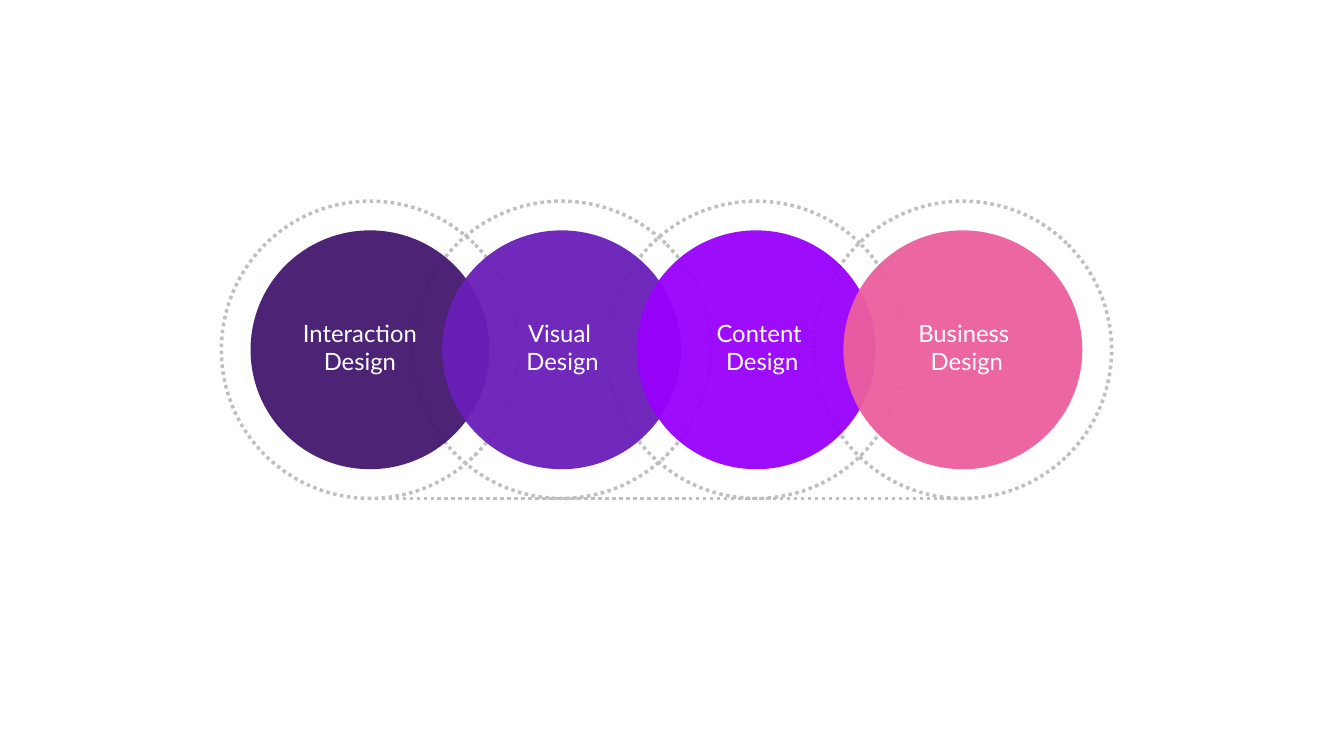
"""Build a slide of four overlapping design disciplines with dotted rings."""
from dataclasses import dataclass

from lxml.etree import SubElement
from pptx import Presentation
from pptx.dml.color import RGBColor
from pptx.enum.dml import MSO_LINE
from pptx.enum.shapes import MSO_CONNECTOR, MSO_SHAPE
from pptx.enum.text import MSO_ANCHOR, PP_ALIGN
from pptx.oxml.ns import qn
from pptx.util import Inches, Pt

# label, colour, circle centre, label centre, label width
DISCIPLINES = [
    ("Interaction Design", "43186E", 3.67, 3.57, 1.54),
    ("Visual \vDesign", "6A1EB9", 5.57, 5.58, 1.31),
    ("Content \vDesign", "9800FB", 7.5, 7.56, 2.53),
    ("Business \vDesign", "EC5F9E", 9.55, 9.59, 2.53),
]
MIDDLE = 3.47
RING, DISC = 2.95, 2.37
LABEL_TOP, LABEL_HEIGHT, INSET = 2.99, 0.91, 0.04


@dataclass(frozen=True)
class Theme:
    font: str = "Lato"
    size: float = 17
    leading: float = 20
    text: str = "FFFFFF"
    dots: str = "BFBFBF"
    dot_width: float = 2.5
    opacity: int = 95


THEME = Theme()


def dot(line):
    line.color.rgb = RGBColor.from_string(THEME.dots)
    line.width = Pt(THEME.dot_width)
    line.dash_style = MSO_LINE.ROUND_DOT


def add_circle(s, center, size, rotation):
    sp = s.shapes.add_shape(
        MSO_SHAPE.ROUNDED_RECTANGLE, Inches(center - size / 2),
        Inches(MIDDLE - size / 2), Inches(size), Inches(size))
    sp.adjustments[0] = 0.5
    sp.rotation = rotation
    sp.shadow.inherit = False
    return sp


def add_ring(s, center):
    sp = add_circle(s, center, RING, 135)
    sp.fill.background()
    dot(sp.line)


def add_disc(s, center, color):
    sp = add_circle(s, center, DISC, 315)
    sp.fill.solid()
    sp.fill.fore_color.rgb = RGBColor.from_string(color)
    sp.line.fill.background()
    clr = sp.element.spPr.find(qn("a:solidFill")).find(qn("a:srgbClr"))
    SubElement(clr, qn("a:alpha")).set("val", str(THEME.opacity * 1000))


def add_label(s, text, center, width):
    tf = s.shapes.add_textbox(
        Inches(center - width / 2), Inches(LABEL_TOP),
        Inches(width), Inches(LABEL_HEIGHT)).text_frame
    tf.word_wrap = True
    tf.vertical_anchor = MSO_ANCHOR.MIDDLE
    tf.margin_left = tf.margin_right = Inches(INSET)
    tf.margin_top = tf.margin_bottom = Inches(INSET)
    p = tf.paragraphs[0]
    p.text = text
    p.alignment = PP_ALIGN.CENTER
    p.line_spacing = Pt(THEME.leading)
    for r in p.runs:
        r.font.name = THEME.font
        r.font.size = Pt(THEME.size)
        r.font.color.rgb = RGBColor.from_string(THEME.text)


def add_baseline(s, start, end):
    y = Inches(MIDDLE + RING / 2)
    line = s.shapes.add_connector(
        MSO_CONNECTOR.STRAIGHT, Inches(start), y, Inches(end), y)
    dot(line.line)
    SubElement(line.element.spPr, qn("a:effectLst"))


def main():
    prs = Presentation()
    prs.slide_width, prs.slide_height = Inches(13.33), Inches(7.5)
    s = prs.slides.add_slide(prs.slide_layouts[6])
    add_baseline(s, 9.64, 3.55)
    for _, _, center, _, _ in DISCIPLINES:
        add_ring(s, center)
    for text, color, center, label_center, width in DISCIPLINES:
        add_disc(s, center, color)
        add_label(s, text, label_center, width)
    prs.save("out.pptx")


if __name__ == "__main__":
    main()
